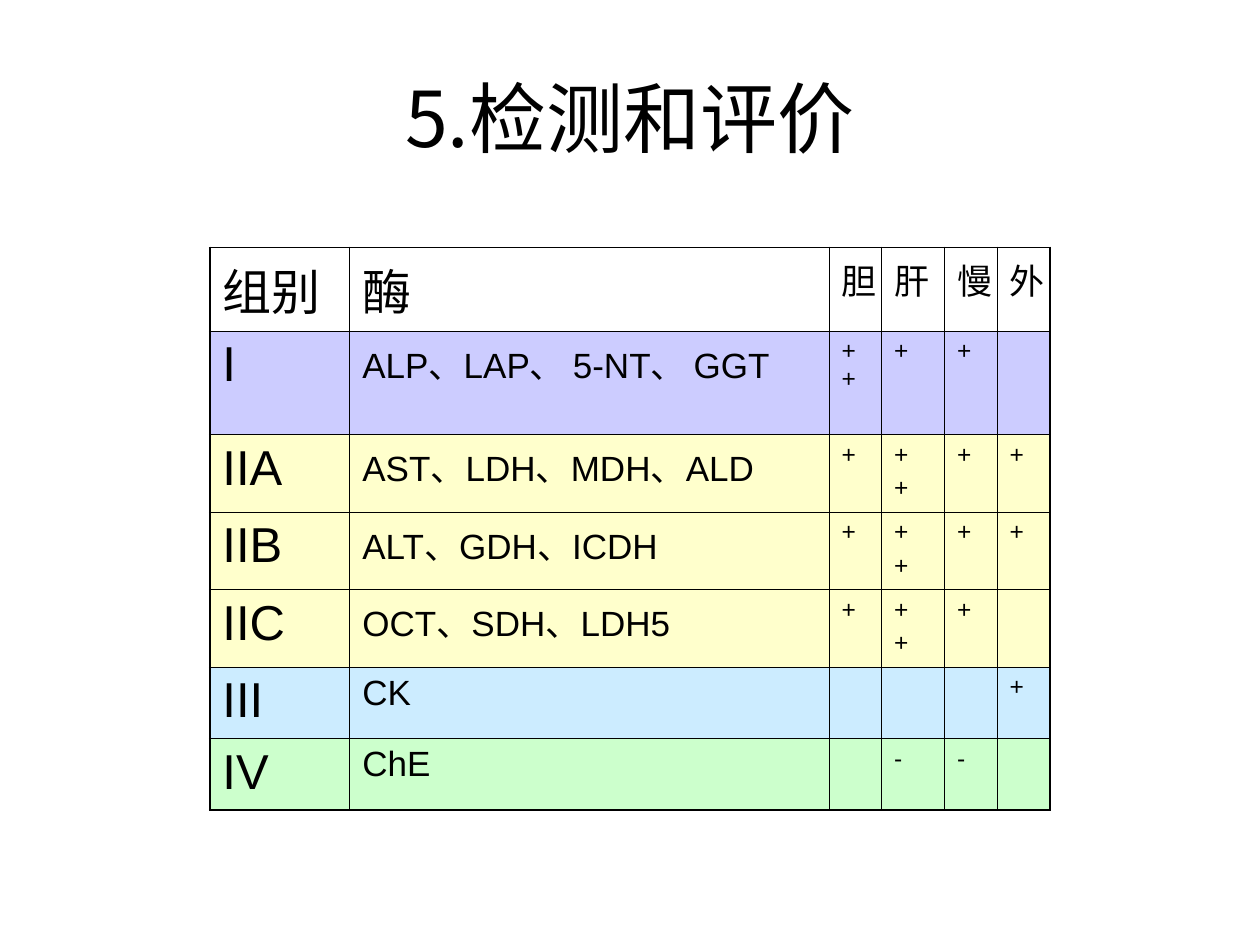
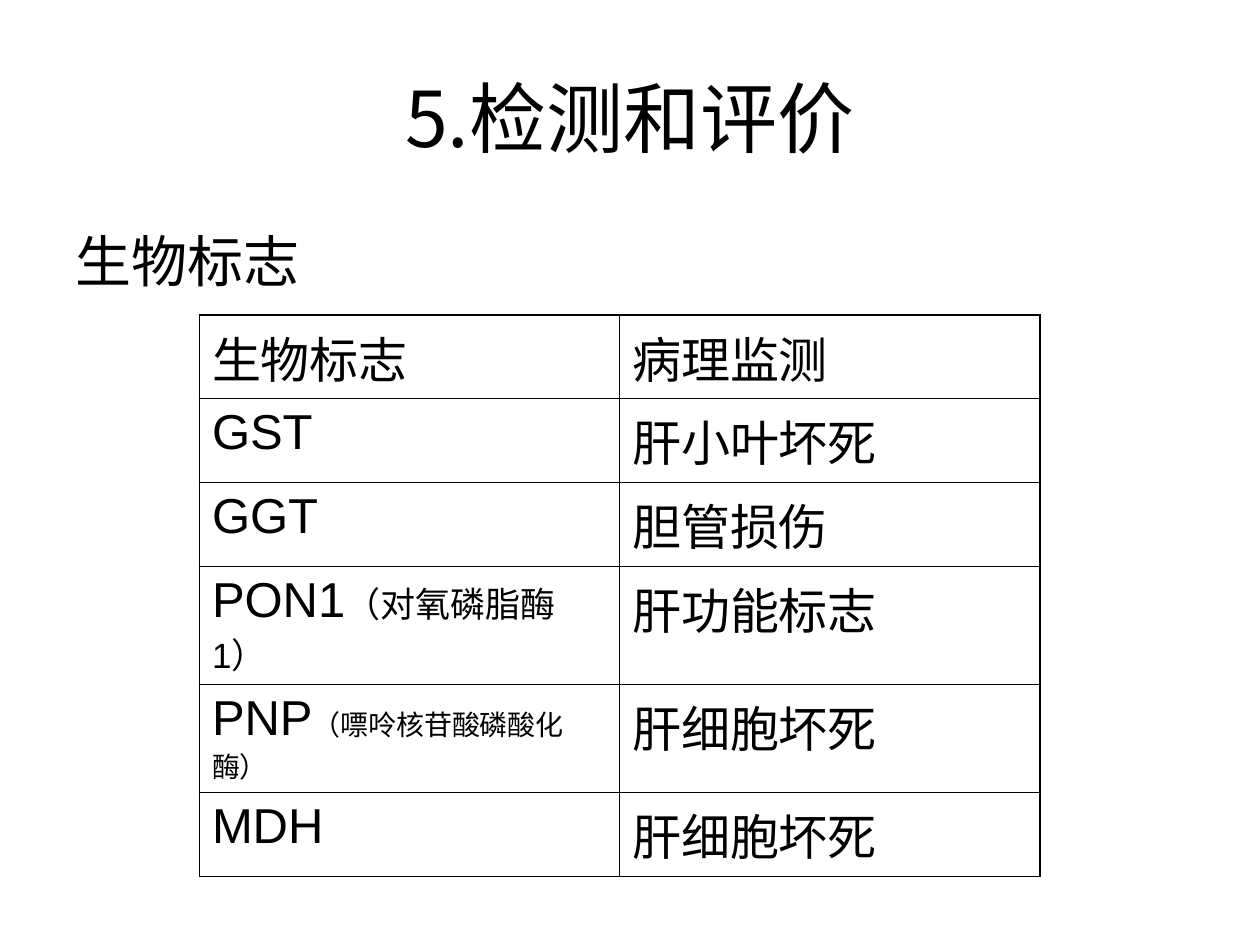
from lxml.etree import SubElement
from pptx import Presentation
from pptx.dml.color import RGBColor
from pptx.enum.text import MSO_ANCHOR, PP_ALIGN
from pptx.oxml.ns import qn
from pptx.util import Cm, Pt

BLACK = RGBColor(0, 0, 0)
LILAC = RGBColor(0xCC, 0xCC, 0xFF)
CREAM = RGBColor(0xFF, 0xFF, 0xCC)
SKY = RGBColor(0xCC, 0xEC, 0xFF)
MINT = RGBColor(0xCC, 0xFF, 0xCC)
LATIN, HAN = "Arial", "Noto Sans CJK SC"
THIN, THICK = 0.45, 1.08

ENZYMES = [
    (None, "组别", "酶", "胆", "肝", "慢", "外"),
    (LILAC, "I", "ALP、LAP、 5-NT、 GGT", "++", "+", "+", ""),
    (CREAM, "IIA", "AST、LDH、MDH、ALD", "+", "+\n+", "+", "+"),
    (CREAM, "IIB", "ALT、GDH、ICDH", "+", "+\n+", "+", "+"),
    (CREAM, "IIC", "OCT、SDH、LDH5", "+", "+\n+", "+", ""),
    (SKY, "III", "CK", "", "", "", "+"),
    (MINT, "IV", "ChE", "", "-", "-", ""),
]
MARKERS = [
    ("生物标志", "病理监测"),
    ("GST", "肝小叶坏死"),
    ("GGT", "胆管损伤"),
    ("PON1", "肝功能标志"),
    ("PNP", "肝细胞坏死"),
    ("MDH", "肝细胞坏死"),
]
NOTES = {"PON1": ("（对氧磷脂酶1）", 20), "PNP": ("（嘌呤核苷酸磷酸化酶）", 16)}


def write(frame, text, size, face=LATIN):
    """Fill a text frame, one paragraph per line."""
    frame.text = text
    for place, para in enumerate(frame.paragraphs):
        if place:
            para.space_before = Pt(size / 4)
        font = para.font
        font.size, font.name, font.color.rgb = Pt(size), face, BLACK
        latin = para._p.pPr.find(qn("a:defRPr")).find(qn("a:latin"))
        east = latin.makeelement(qn("a:ea"), {"typeface": HAN})
        latin.addnext(east)


def add_box(slide, left, top, width, height):
    """Add a wrapping text box and return its frame."""
    frame = slide.shapes.add_textbox(Cm(left), Cm(top), Cm(width), Cm(height)).text_frame
    frame.word_wrap = True
    return frame


def add_title(slide):
    """Add the shared slide title."""
    frame = add_box(slide, 1.27, 0.76, 22.86, 3.18)
    frame.vertical_anchor = MSO_ANCHOR.MIDDLE
    write(frame, "5.检测和评价", 44, HAN)
    frame.paragraphs[0].alignment = PP_ALIGN.CENTER


def add_bullet(slide, text):
    """Add the bulleted body text."""
    frame = add_box(slide, 1.27, 4.45, 22.86, 12.57)
    props = frame.paragraphs[0]._p.get_or_add_pPr()
    props.set("marL", str(Cm(0.95)))
    props.set("indent", str(-Cm(0.95)))
    SubElement(props, qn("a:buFont"), typeface=LATIN)
    SubElement(props, qn("a:buChar"), char="•")
    write(frame, text, 32)


def draw_edges(cell, edges):
    """Draw black cell borders of the given widths."""
    props = cell._tc.get_or_add_tcPr()
    for side, width in zip("LRTB", edges):
        line = SubElement(props, qn(f"a:ln{side}"), w=str(Pt(width)))
        fill = SubElement(line, qn("a:solidFill"))
        SubElement(fill, qn("a:srgbClr"), val=str(BLACK))


def add_grid(slide, left, top, widths, heights):
    """Add a plain table with a thick frame and thin inner lines."""
    shape = slide.shapes.add_table(len(heights), len(widths), Cm(left), Cm(top),
                                   Cm(sum(widths)), Cm(sum(heights)))
    table = shape.table
    table.first_row = table.horz_banding = False
    for column, width in zip(table.columns, widths):
        column.width = Cm(width)
    for row, height in zip(table.rows, heights):
        row.height = Cm(height)
    last_row, last_col = len(heights) - 1, len(widths) - 1
    for r in range(len(heights)):
        for c in range(len(widths)):
            outer = (c == 0, c == last_col, r == 0, r == last_row)
            cell = table.cell(r, c)
            draw_edges(cell, [THICK if edge else THIN for edge in outer])
            cell.fill.background()
    return table


def fill_enzymes(table):
    """Write the enzyme groups and colour their rows."""
    for r, (tint, *texts) in enumerate(ENZYMES):
        sizes = [28, 20] + [14] * 4 if r else [28, 28] + [20] * 4
        for c, (text, size) in enumerate(zip(texts, sizes)):
            cell = table.cell(r, c)
            write(cell.text_frame, text, size)
            if tint:
                cell.fill.solid()
                cell.fill.fore_color.rgb = tint


def fill_markers(table):
    """Write the biomarkers with their smaller notes."""
    for r, texts in enumerate(MARKERS):
        for c, text in enumerate(texts):
            frame = table.cell(r, c).text_frame
            write(frame, text, 28)
            if text in NOTES:
                note, size = NOTES[text]
                run = frame.paragraphs[0].add_run()
                run.text, run.font.size = note, Pt(size)


def main():
    """Build both slides and save them."""
    deck = Presentation()
    deck.slide_width, deck.slide_height = Cm(25.4), Cm(19.05)
    first, second = [deck.slides.add_slide(deck.slide_layouts[6]) for _ in range(2)]
    for slide in (first, second):
        add_title(slide)
    fill_enzymes(add_grid(first, 4.23, 4.99, [2.82, 9.66, 1.06, 1.27, 1.06, 1.06],
                          [1.69, 2.08] + [1.49] * 3 + [1.37] * 2))
    add_bullet(second, "生物标志")
    fill_markers(add_grid(second, 4.02, 6.35, [8.47] * 2,
                          [1.69] * 3 + [2.38, 2.18, 1.69]))
    deck.save("out.pptx")


if __name__ == "__main__":
    main()
